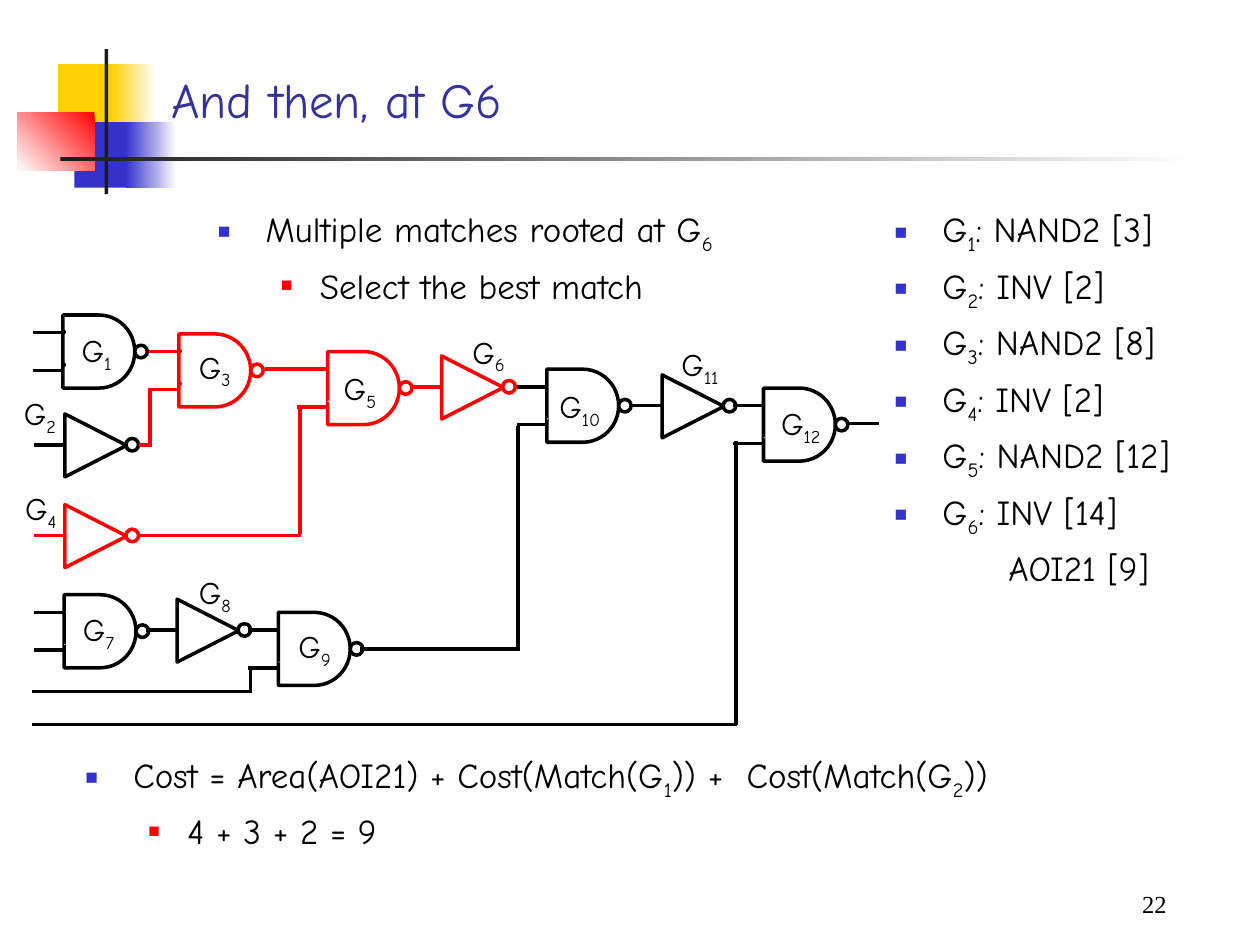
from lxml import etree
from pptx import Presentation
from pptx import util as u
from pptx.dml.color import RGBColor
from pptx.enum import shapes, text
from pptx.oxml import ns

BLACK = RGBColor(0x00, 0x00, 0x00)
WHITE = RGBColor(0xFF, 0xFF, 0xFF)
RED = RGBColor(0xFF, 0x00, 0x00)
BLUE = RGBColor(0x33, 0x33, 0xCC)
YELLOW = RGBColor(0xFF, 0xCF, 0x01)
DARK = RGBColor(0x1C, 0x1C, 0x1C)
TITLE_BLUE = RGBColor(0x33, 0x33, 0x99)
SHAPE = shapes.MSO_SHAPE


class SlideBuilder:
    font = "Comic Neue"
    line_width = u.Pt(2)
    margins = (0.38, 0.81)
    hanging = (0.38, 0.31)
    bullets = ((BLUE, 60), (RED, 55))

    def __init__(self, presentation):
        self.slide = presentation.slides.add_slide(presentation.slide_layouts[1])

    def place(self, shape, left, top, width, height):
        shape.left, shape.top = u.Inches(left), u.Inches(top)
        shape.width, shape.height = u.Inches(width), u.Inches(height)

    def style_font(self, paragraph, size, color=BLACK, name=None):
        paragraph.font.name = name or self.font
        paragraph.font.size = u.Pt(size)
        paragraph.font.color.rgb = color

    def add_runs(self, paragraph, content):
        for index, part in enumerate(content.split("|")):
            if part:
                run = paragraph.add_run()
                run.text = part
                if index % 2:
                    run._r.get_or_add_rPr().set("baseline", "-25000")

    def shape(self, kind, left, top, width, height, fill=WHITE, line=None):
        box = [u.Inches(value) for value in (left, top, width, height)]
        shape = self.slide.shapes.add_shape(kind, *box)
        shape.shadow.inherit = False
        shape.fill.solid()
        shape.fill.fore_color.rgb = fill
        if line is None:
            shape.line.fill.background()
        else:
            shape.line.color.rgb = line
            shape.line.width = self.line_width
        return shape

    def fade(self, left, top, width, height, color, angle=0):
        shape = self.shape(SHAPE.RECTANGLE, left, top, width, height)
        shape.fill.gradient()
        shape.fill.gradient_angle = angle
        for stop, stop_color, position in zip(shape.fill.gradient_stops, (color, WHITE), (0, 1)):
            stop.color.rgb = stop_color
            stop.position = position

    def wire(self, x1, y1, x2, y2, color=BLACK):
        ends = [u.Inches(value) for value in (x1, y1, x2, y2)]
        connector = self.slide.shapes.add_connector(shapes.MSO_CONNECTOR.STRAIGHT, *ends)
        connector.line.color.rgb = color
        connector.line.width = self.line_width
        etree.SubElement(connector._element.spPr, ns.qn("a:effectLst"))

    def bubble(self, left, top, color):
        self.shape(SHAPE.FLOWCHART_CONNECTOR, left, top, 0.1, 0.1, line=color)

    def nand(self, left, top, color=BLACK, pin_line=None, lead=0.24):
        self.shape(SHAPE.FLOWCHART_DELAY, left, top, 0.57, 0.58, line=color)
        self.bubble(left + 0.57, top + 0.24, color)
        for offset in (0.13, 0.39):
            self.shape(SHAPE.FLOWCHART_CONNECTOR, left, top + offset, 0.01, 0.01, line=pin_line)
        for offset, length in ((0.14, lead), (0.44, 0.24)):
            self.wire(left - length, top + offset, left + 0.01, top + offset, color)

    def inverter(self, left, top, color=BLACK):
        triangle = self.shape(SHAPE.FLOWCHART_MERGE, left, top, 0.5, 0.49, line=color)
        triangle.rotation = 270
        self.bubble(left + 0.49, top + 0.19, color)
        self.wire(left - 0.24, top + 0.24, left + 0.01, top + 0.24, color)

    def text_box(self, left, top, width, height):
        box = [u.Inches(value) for value in (left, top, width, height)]
        return self.slide.shapes.add_textbox(*box)

    def gate_label(self, number, left, top, width):
        frame = self.text_box(left, top, width, 0.44).text_frame
        frame.word_wrap = True
        frame.margin_right = 0
        frame.auto_size = text.MSO_AUTO_SIZE.NONE
        self.add_runs(frame.paragraphs[0], f"G|{number}|")
        self.style_font(frame.paragraphs[0], 18)

    def title(self, content, *box):
        shape = self.slide.shapes.title
        self.place(shape, *box)
        frame = shape.text_frame
        frame.vertical_anchor = text.MSO_ANCHOR.BOTTOM
        frame.auto_size = text.MSO_AUTO_SIZE.NONE
        frame.text = content
        frame.paragraphs[0].alignment = text.PP_ALIGN.LEFT
        self.style_font(frame.paragraphs[0], 28, TITLE_BLUE)

    def body(self, items, *box):
        shape = self.slide.placeholders[1]
        self.place(shape, *box)
        self.fill_list(shape.text_frame, items)

    def list_box(self, items, *box):
        self.fill_list(self.text_box(*box).text_frame, items)

    def fill_list(self, frame, items):
        frame.word_wrap = True
        frame.auto_size = text.MSO_AUTO_SIZE.NONE
        for index, (level, content) in enumerate(items):
            paragraph = frame.add_paragraph() if index else frame.paragraphs[0]
            paragraph.level = level
            paragraph.space_before = u.Pt(5)
            self.add_bullet(paragraph, level, not content.startswith("\t"))
            self.add_runs(paragraph, content)
            self.style_font(paragraph, 20)

    def add_bullet(self, paragraph, level, visible):
        properties = paragraph._p.get_or_add_pPr()
        properties.set("marL", str(u.Inches(self.margins[level])))
        properties.set("indent", str(-u.Inches(self.hanging[level])))
        if not visible:
            etree.SubElement(properties, ns.qn("a:buNone"))
            return
        color, size = self.bullets[level]
        holder = etree.SubElement(properties, ns.qn("a:buClr"))
        etree.SubElement(holder, ns.qn("a:srgbClr"), val=str(color))
        etree.SubElement(properties, ns.qn("a:buSzPct"), val=str(size * 1000))
        etree.SubElement(properties, ns.qn("a:buFont"), typeface="Arial")
        etree.SubElement(properties, ns.qn("a:buChar"), char="■")

    def page_number(self, number, *box):
        frame = self.text_box(*box).text_frame
        frame.margin_left = frame.margin_top = frame.margin_bottom = 0
        frame.margin_right = u.Inches(0.24)
        frame.word_wrap = True
        frame.vertical_anchor = text.MSO_ANCHOR.MIDDLE
        frame.text = number
        frame.paragraphs[0].alignment = text.PP_ALIGN.RIGHT
        self.style_font(frame.paragraphs[0], 14, name="Times New Roman")


def main():
    presentation = Presentation()
    presentation.slide_width, presentation.slide_height = u.Inches(10), u.Inches(7.5)
    builder = SlideBuilder(presentation)

    builder.shape(SHAPE.RECTANGLE, 0.46, 0.51, 0.48, 0.52, YELLOW)
    builder.fade(0.88, 0.51, 0.36, 0.52, YELLOW)
    builder.shape(SHAPE.RECTANGLE, 0.59, 0.97, 0.46, 0.52, BLUE)
    builder.fade(1, 0.97, 0.4, 0.52, BLUE)
    builder.fade(0.14, 0.89, 0.61, 0.46, RED, angle=225)
    builder.shape(SHAPE.RECTANGLE, 0.83, 0.39, 0.03, 1.15, DARK)
    builder.fade(0.48, 1.25, 9, 0.03, DARK)

    builder.title("And then, at G6", 1.26, 0.22, 8.52, 0.85)
    costs = ("NAND2 [3]", "INV [2]", "NAND2 [8]", "INV [2]", "NAND2 [12]", "INV [14]")
    matches = [(0, f"G|{number}|: {cost}") for number, cost in enumerate(costs, 1)]
    builder.body(matches + [(1, "\t AOI21 [9]")], 7, 1.6, 2.83, 5.2)

    builder.nand(0.5, 2.5, pin_line=BLACK)
    builder.inverter(0.51, 3.29)
    builder.nand(1.42, 2.65, RED, pin_line=RED)
    builder.inverter(0.51, 4.01, RED)
    builder.nand(2.6, 2.79, RED, lead=0.5)
    builder.inverter(3.5, 2.83, RED)
    builder.nand(0.51, 4.72)
    builder.inverter(1.4, 4.76)
    builder.nand(2.21, 4.86)
    builder.nand(4.34, 2.93)
    builder.inverter(5.25, 2.98)
    builder.nand(6.06, 3.08)

    red_wires = ((1.19, 3.08, 1.19, 3.55), (1.1, 3.53, 1.19, 3.53),
                 (2.38, 3.23, 2.38, 4.24), (1.09, 4.25, 2.39, 4.25))
    black_wires = ((4.11, 3.38, 4.11, 5.17), (2.86, 5.15, 4.11, 5.15),
                   (0.25, 5.49, 2, 5.49), (1.99, 5.31, 1.99, 5.48),
                   (0.25, 5.75, 5.85, 5.75), (5.84, 3.5, 5.84, 5.75),
                   (6.73, 3.36, 6.98, 3.36))
    for color, wires in ((RED, red_wires), (BLACK, black_wires)):
        for ends in wires:
            builder.wire(*ends, color)

    builder.list_box([(0, "Multiple matches rooted at G|6|"), (1, "Select the best match")],
                     1.63, 1.6, 5.08, 0.98)
    builder.list_box([(0, "Cost = Area(AOI21) + Cost(Match(G|1|)) +  Cost(Match(G|2|))"),
                      (1, "4 + 3 + 2 = 9")], 0.58, 5.93, 8.83, 0.98)

    labels = ((0.55, 2.58, 0.43), (0.09, 3.08, 0.45), (1.48, 2.71, 0.45), (0.1, 3.83, 0.45),
              (2.63, 2.88, 0.46), (3.65, 2.59, 0.46), (0.56, 4.79, 0.45), (1.48, 4.5, 0.45),
              (2.27, 4.93, 0.45), (4.34, 3.02, 0.52), (5.31, 2.69, 0.49), (6.1, 3.16, 0.51))
    for number, position in enumerate(labels, 1):
        builder.gate_label(number, *position)
    builder.page_number("22", 7.42, 6.92, 2.08, 0.5)

    presentation.save("out.pptx")


if __name__ == "__main__":
    main()
